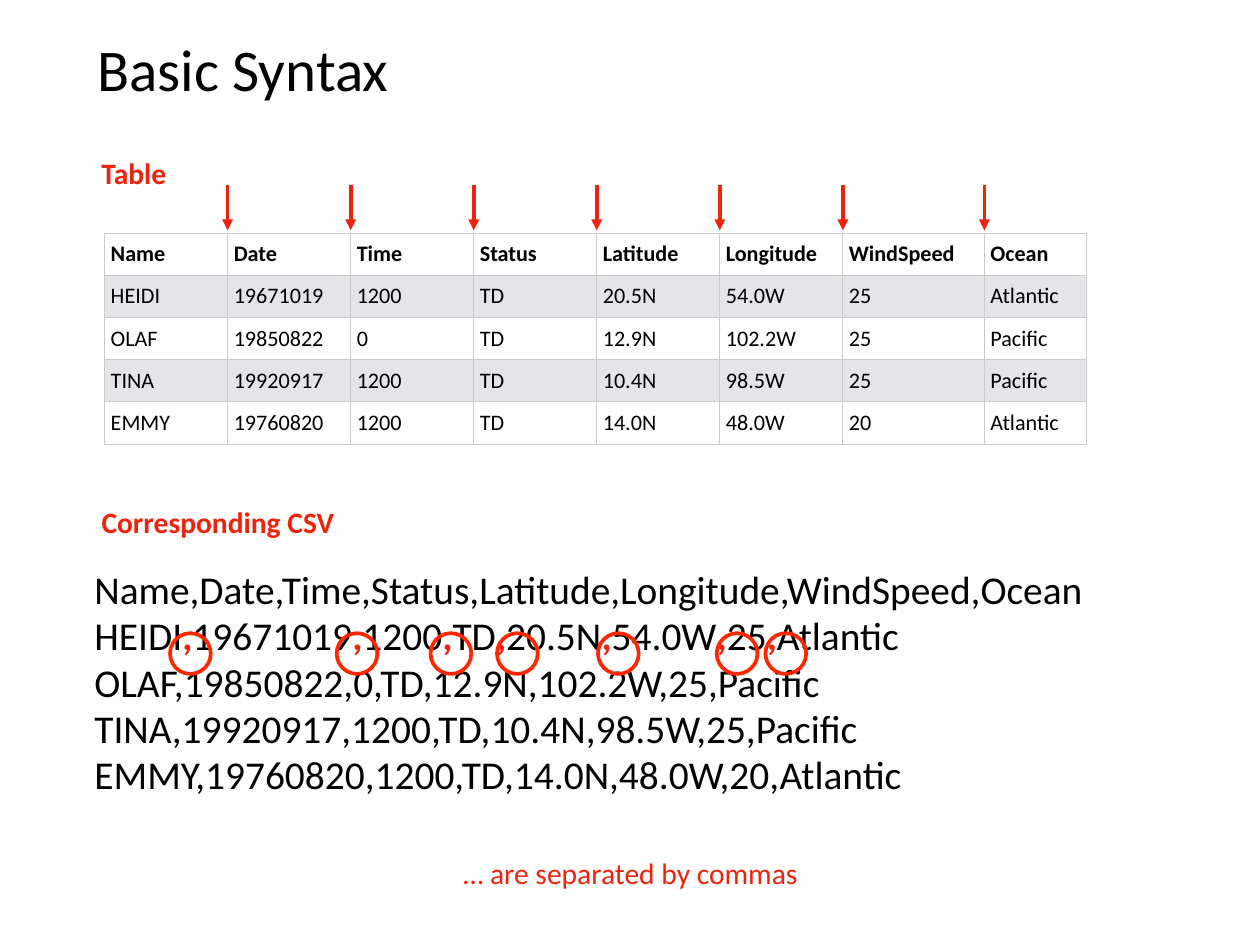
"""Build the Basic Syntax slide: a table and its matching CSV text."""
from dataclasses import dataclass
from itertools import accumulate

from lxml.etree import SubElement
from pptx import Presentation
from pptx.dml.color import RGBColor
from pptx.enum.shapes import MSO_CONNECTOR, MSO_SHAPE
from pptx.enum.text import MSO_ANCHOR, MSO_AUTO_SIZE, PP_ALIGN
from pptx.oxml.ns import qn
from pptx.util import Pt


@dataclass(frozen=True)
class Theme:
    """Hold the colours, font and type sizes."""
    font: str = "Calibri"
    ink: str = "000000"
    accent: str = "EE230C"
    ring: str = "FF2600"
    border: str = "CBCBCB"
    row_fills: tuple = ("FFFFFF", "E3E5E8")
    title: int = 48
    csv: int = 32
    label: int = 24
    cell: int = 18


THEME = Theme()
RECORDS = [
    ["Name", "Date", "Time", "Status", "Latitude", "Longitude", "WindSpeed", "Ocean"],
    ["HEIDI", "19671019", "1200", "TD", "20.5N", "54.0W", "25", "Atlantic"],
    ["OLAF", "19850822", "0", "TD", "12.9N", "102.2W", "25", "Pacific"],
    ["TINA", "19920917", "1200", "TD", "10.4N", "98.5W", "25", "Pacific"],
    ["EMMY", "19760820", "1200", "TD", "14.0N", "48.0W", "20", "Atlantic"],
]
HIGHLIGHTED_RECORD = 1
TABLE_LEFT, TABLE_TOP, ROW_HEIGHT = 85, 189.4, 34.3
COLUMN_WIDTHS = [100] * 6 + [115, 83]
ARROW_TOP, ARROW_BOTTOM = 150.5, 187.2
RING_LEFTS = [138.2, 273.6, 349.9, 403.9, 486, 582.5, 622.1]
RING_TOP, RING_SIZE = 514.6, 33.1
LINE_WIDTH = 3
INSETS = {f"margin_{side}": Pt(4) for side in ("left", "top", "right", "bottom")}
CELL_FORMAT = {
    "margin_left": Pt(5), "margin_right": Pt(5), "margin_top": 0, "margin_bottom": 0,
    "vertical_anchor": MSO_ANCHOR.MIDDLE,
}


def set_attributes(target, values):
    """Set every attribute in values on the target."""
    for name, value in values.items():
        setattr(target, name, value)


def place(shape, left, top, width, height):
    """Move and size a shape in points."""
    set_attributes(shape, {"left": Pt(left), "top": Pt(top),
                           "width": Pt(width), "height": Pt(height)})


def add_run(paragraph, text, size, color=THEME.ink, bold=False):
    """Add a formatted run to a paragraph."""
    run = paragraph.add_run()
    run.text = text
    set_attributes(run.font, {"name": THEME.font, "size": Pt(size), "bold": bold})
    run.font.color.rgb = RGBColor.from_string(color)


def fill_title(shape, text):
    """Write the slide title in its placeholder."""
    place(shape, 75, 20, 874, 71)
    set_attributes(shape.text_frame, {
        **INSETS, "vertical_anchor": MSO_ANCHOR.MIDDLE, "auto_size": MSO_AUTO_SIZE.NONE})
    paragraph = shape.text_frame.paragraphs[0]
    paragraph.alignment = PP_ALIGN.LEFT
    add_run(paragraph, text, THEME.title)


def fill_csv(shape):
    """Write the records as CSV lines in the body placeholder."""
    place(shape, 72.7, 457.2, 916, 272)
    frame = shape.text_frame
    set_attributes(frame, {
        **INSETS, "vertical_anchor": MSO_ANCHOR.TOP, "auto_size": MSO_AUTO_SIZE.NONE})
    for index, record in enumerate(RECORDS):
        paragraph = frame.add_paragraph() if index else frame.paragraphs[0]
        set_attributes(paragraph, {"level": 5, "space_before": Pt(0),
                                   "line_spacing": 0.98, "alignment": PP_ALIGN.LEFT})
        properties = paragraph._p.get_or_add_pPr()
        properties.set("marL", "0")
        properties.set("indent", "0")
        SubElement(properties, qn("a:buNone"))
        if index != HIGHLIGHTED_RECORD:
            add_run(paragraph, ",".join(record), THEME.csv)
            continue
        for position, value in enumerate(record):
            if position:
                add_run(paragraph, ",", THEME.csv, THEME.accent, True)
            add_run(paragraph, value, THEME.csv)


def add_borders(cell):
    """Draw a thin line on each side of a cell."""
    properties = cell._tc.get_or_add_tcPr()
    for side in ("lnL", "lnR", "lnT", "lnB"):
        line = SubElement(properties, qn(f"a:{side}"), w=str(Pt(1)))
        fill = SubElement(line, qn("a:solidFill"))
        SubElement(fill, qn("a:srgbClr"), val=THEME.border)


def add_storm_table(slide):
    """Add the table of records with alternating row fills."""
    table = slide.shapes.add_table(
        len(RECORDS), len(COLUMN_WIDTHS), Pt(TABLE_LEFT), Pt(TABLE_TOP),
        Pt(sum(COLUMN_WIDTHS)), Pt(ROW_HEIGHT * len(RECORDS))).table
    table.horz_banding = False
    for column, width in zip(table.columns, COLUMN_WIDTHS):
        column.width = Pt(width)
    for row_index, record in enumerate(RECORDS):
        table.rows[row_index].height = Pt(ROW_HEIGHT)
        for column_index, value in enumerate(record):
            cell = table.cell(row_index, column_index)
            set_attributes(cell, CELL_FORMAT)
            add_borders(cell)
            cell.fill.solid()
            cell.fill.fore_color.rgb = RGBColor.from_string(THEME.row_fills[row_index % 2])
            add_run(cell.text_frame.paragraphs[0], value, THEME.cell, bold=row_index == 0)


def add_label(slide, text, left, top, width, bold=True, alignment=PP_ALIGN.LEFT):
    """Add a red one-line label."""
    shape = slide.shapes.add_textbox(Pt(left), Pt(top), Pt(width), Pt(36))
    set_attributes(shape.text_frame, {
        **INSETS, "vertical_anchor": MSO_ANCHOR.MIDDLE, "word_wrap": False,
        "auto_size": MSO_AUTO_SIZE.SHAPE_TO_FIT_TEXT})
    paragraph = shape.text_frame.paragraphs[0]
    paragraph.alignment = alignment
    add_run(paragraph, text, THEME.label, THEME.accent, bold)


def format_line(line, color):
    """Give a line its colour and width."""
    line.color.rgb = RGBColor.from_string(color)
    line.width = Pt(LINE_WIDTH)


def add_ring(slide, left):
    """Add an unfilled ring around a comma."""
    ring = slide.shapes.add_shape(
        MSO_SHAPE.OVAL, Pt(left), Pt(RING_TOP), Pt(RING_SIZE), Pt(RING_SIZE))
    ring.shadow.inherit = False
    ring.fill.background()
    format_line(ring.line, THEME.ring)


def add_arrow(slide, x):
    """Add an arrow pointing down at a column border."""
    arrow = slide.shapes.add_connector(
        MSO_CONNECTOR.STRAIGHT, Pt(x), Pt(ARROW_TOP), Pt(x), Pt(ARROW_BOTTOM))
    format_line(arrow.line, THEME.accent)
    SubElement(arrow.line._get_or_add_ln(), qn("a:tailEnd"), type="triangle")
    SubElement(arrow._element.spPr, qn("a:effectLst"))


def main():
    """Build and save the slide."""
    presentation = Presentation()
    set_attributes(presentation, {"slide_width": Pt(1024), "slide_height": Pt(768)})
    slide = presentation.slides.add_slide(presentation.slide_layouts[1])
    fill_title(slide.shapes.title, "Basic Syntax")
    fill_csv(slide.placeholders[1])
    add_storm_table(slide)
    add_label(slide, "Table", 78.5, 122.4, 77)
    add_label(slide, "Corresponding CSV", 78.5, 406.1, 245.5)
    add_label(slide, "… are separated by commas", 368.6, 691.2, 287.3, False, PP_ALIGN.CENTER)
    for left in RING_LEFTS:
        add_ring(slide, left)
    for offset in accumulate(COLUMN_WIDTHS[:-1]):
        add_arrow(slide, TABLE_LEFT + offset)
    presentation.save("out.pptx")


if __name__ == "__main__":
    main()
